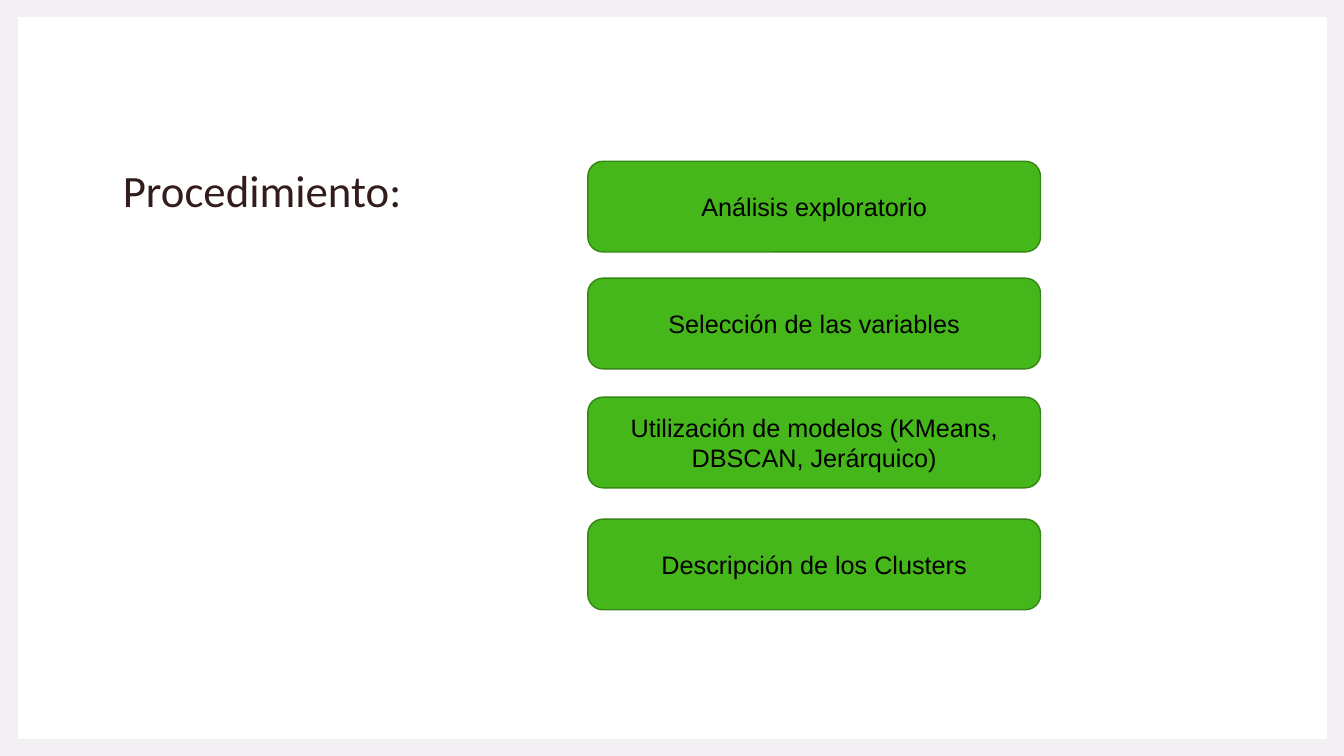
import pptx
import pptx.util
import pptx.dml.color
import pptx.enum.shapes
import pptx.enum.text

Inches = pptx.util.Inches
Anchor = pptx.enum.text.MSO_ANCHOR
Align = pptx.enum.text.PP_ALIGN

PAGE_WIDTH, PAGE_HEIGHT = 13.33, 7.5
STEPS = [
    (1.6, "Análisis exploratorio"),
    (2.76, "Selección de las variables"),
    (3.94, "Utilización de modelos (KMeans, DBSCAN, Jerárquico)"),
    (5.15, "Descripción de los Clusters"),
]


def color(value):
    return pptx.dml.color.RGBColor.from_string(value)


def paint(shape, fill, line=None):
    shape.shadow.inherit = False
    shape.fill.solid()
    shape.fill.fore_color.rgb = color(fill)
    if line:
        shape.line.color.rgb = color(line)
        shape.line.width = pptx.util.Pt(1)
    else:
        shape.line.fill.background()


def write(shape, text, *, size, font, ink="000000", align=Align.LEFT,
          anchor=Anchor.MIDDLE, spacing=1.0):
    frame = shape.text_frame
    frame.word_wrap = True
    frame.vertical_anchor = anchor
    para = frame.paragraphs[0]
    para.alignment = align
    para.line_spacing = spacing
    span = para.add_run()
    span.text = text
    span.font.size = pptx.util.Pt(size)
    span.font.name = font
    span.font.color.rgb = color(ink)


def add_border(page):
    def points(*pairs):
        return [(Inches(x), Inches(y)) for x, y in pairs]

    outer = points((0, 0), (PAGE_WIDTH, 0), (PAGE_WIDTH, PAGE_HEIGHT), (0, PAGE_HEIGHT))
    inner = points((0.18, 0.17), (0.18, 7.33), (13.16, 7.33), (13.16, 0.17))
    builder = page.shapes.build_freeform(*outer[0])
    builder.add_line_segments(outer[1:], close=True)
    builder.move_to(*inner[0])
    builder.add_line_segments(inner[1:], close=True)
    paint(builder.convert_to_shape(), "F2F0F3")


def add_title(page, text):
    box = page.shapes.add_textbox(Inches(1.12), Inches(0.79), Inches(11.08), Inches(1.41))
    write(box, text, size=32, font="Calibri", ink="321C1C",
          anchor=Anchor.BOTTOM, spacing=1.1)


def add_step(page, top, text):
    box = page.shapes.add_shape(
        pptx.enum.shapes.MSO_SHAPE.ROUNDED_RECTANGLE,
        Inches(5.83), Inches(top), Inches(4.49), Inches(0.9))
    paint(box, "45B71B", "338714")
    write(box, text, size=18, font="Arial", align=Align.CENTER)


def main():
    deck = pptx.Presentation()
    deck.slide_width = Inches(PAGE_WIDTH)
    deck.slide_height = Inches(PAGE_HEIGHT)
    page = deck.slides.add_slide(deck.slide_layouts[6])
    page.background.fill.solid()
    page.background.fill.fore_color.rgb = color("FFFFFF")
    add_border(page)
    add_title(page, "Procedimiento:")
    for top, text in STEPS:
        add_step(page, top, text)
    deck.save("out.pptx")


if __name__ == "__main__":
    main()
